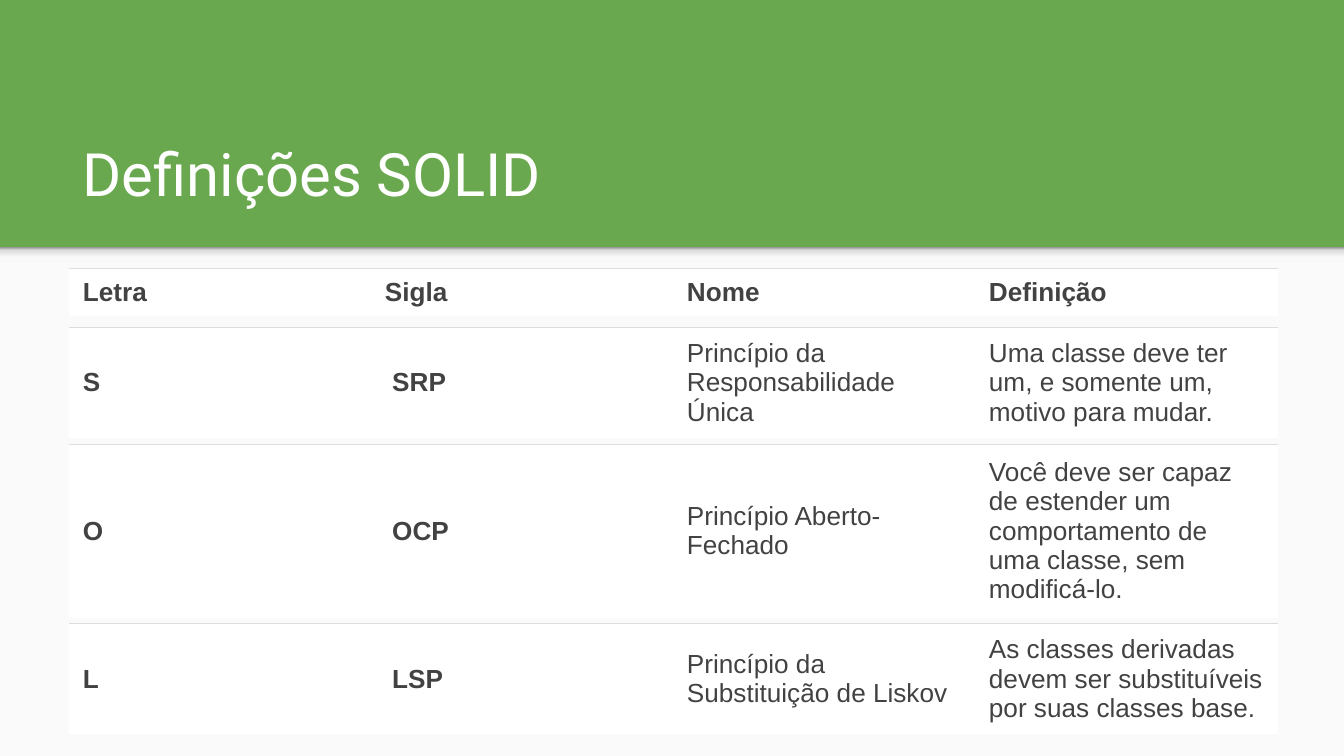
from copy import deepcopy
from dataclasses import dataclass

from lxml import etree
from pptx import Presentation
from pptx.dml.color import RGBColor
from pptx.enum.shapes import MSO_SHAPE
from pptx.enum.text import MSO_ANCHOR
from pptx.oxml.ns import qn
from pptx.util import Pt

RECT = MSO_SHAPE.RECTANGLE
MIDDLE = MSO_ANCHOR.MIDDLE
BOTTOM = MSO_ANCHOR.BOTTOM

HEX = {
    "green": "6AA84F", "paper": "FAFAFA", "white": "FFFFFF",
    "text": "424242", "rule": "DDDDDD",
}
SHADE = [(0, "F9F9F9"), (0.36, "F9F9F9"), (0.8, "DEDEDE"), (1, "999999")]
WIDE, HIGH = 720, 405
LEFT, SPAN = 37.2, 647.3
HEAD = 132.5
INDENT = 3.9


@dataclass
class Band:
    """One table of a single row."""
    top: float
    high: float
    words: tuple[str, str, str, str]
    bold: int = 2
    indent: float = INDENT


BANDS = [
    Band(175.5, 57, ("S", "SRP", "Princípio da Responsabilidade Única",
                     "Uma classe deve ter um, e somente um, motivo para mudar.")),
    Band(238.2, 81, ("O", "OCP", "Princípio Aberto-Fechado",
                     "Você deve ser capaz de estender um comportamento "
                     "de uma classe, sem modificá-lo.")),
    Band(143.8, 24.5, ("Letra", "Sigla", "Nome", "Definição"), 4, 0),
    Band(334.2, 56, ("L", "LSP", "Princípio da Substituição de Liskov",
                     "As classes derivadas devem ser substituíveis "
                     "por suas classes base.")),
]


def rgb(name: str) -> RGBColor:
    return RGBColor.from_string(HEX[name])


def style(item, **values) -> None:
    for name, value in values.items():
        setattr(item, name, value)


def write(frame, text: str, face: str, size: float, tone: str,
          bold: bool = False) -> None:
    run = frame.paragraphs[0].add_run()
    run.text = text
    style(run.font, name=face, size=Pt(size), bold=bold)
    run.font.color.rgb = rgb(tone)


def add_rect(slide, top: float, high: float):
    shape = slide.shapes.add_shape(RECT, 0, Pt(top), Pt(WIDE), Pt(high))
    shape.shadow.inherit = False
    shape.line.fill.background()
    return shape


def add_shade(slide) -> None:
    """Draw the soft shadow under the header, dark at its top edge."""
    shape = add_rect(slide, HEAD, 8.6)
    fill = shape.fill
    fill.gradient()
    fill.gradient_angle = 90
    stops = shape.element.spPr.find(".//" + qn("a:gsLst"))
    for _ in range(len(SHADE) - len(stops)):
        stops.append(deepcopy(stops[0]))
    for stop, (place, tone) in zip(fill.gradient_stops, SHADE):
        stop.position = place
        stop.color.rgb = RGBColor.from_string(tone)


def add_rule(cell) -> None:
    """Give the cell a top border only."""
    props = cell._tc.get_or_add_tcPr()
    for spot, side in enumerate(("lnL", "lnR", "lnT", "lnB")):
        line = etree.Element(qn("a:" + side), w=str(Pt(0.75)))
        if side == "lnT":
            fill = etree.SubElement(line, qn("a:solidFill"))
            etree.SubElement(fill, qn("a:srgbClr"), val=HEX["rule"])
        else:
            etree.SubElement(line, qn("a:noFill"))
        props.insert(spot, line)


def add_band(slide, band: Band) -> None:
    table = slide.shapes.add_table(
        1, len(band.words), Pt(LEFT), Pt(band.top), Pt(SPAN), Pt(band.high)
    ).table
    style(table, first_row=False, horz_banding=False)
    for col, text in enumerate(band.words):
        cell = table.cell(0, col)
        inset = 7.2 + (band.indent if col == 1 else 0)
        style(cell, vertical_anchor=MIDDLE,
              margin_left=Pt(inset), margin_right=Pt(7.2),
              margin_top=Pt(4.3), margin_bottom=Pt(4.3))
        cell.fill.solid()
        cell.fill.fore_color.rgb = rgb("white")
        add_rule(cell)
        write(cell.text_frame, text, "Arial", 14, "text", col < band.bold)


def add_title(slide, text: str) -> None:
    box = slide.shapes.add_textbox(Pt(LEFT), Pt(58.3), Pt(SPAN), Pt(60.5))
    frame = box.text_frame
    style(frame, word_wrap=True, vertical_anchor=BOTTOM,
          margin_left=Pt(7.2), margin_right=Pt(7.2),
          margin_top=Pt(7.2), margin_bottom=Pt(7.2))
    write(frame, text, "Roboto", 32, "white")


def main() -> None:
    deck = Presentation()
    style(deck, slide_width=Pt(WIDE), slide_height=Pt(HIGH))
    slide = deck.slides.add_slide(deck.slide_layouts[6])
    back = slide.background.fill
    back.solid()
    back.fore_color.rgb = rgb("green")
    paper = add_rect(slide, HEAD, HIGH - HEAD)
    paper.fill.solid()
    paper.fill.fore_color.rgb = rgb("paper")
    add_shade(slide)
    add_title(slide, "Definições SOLID")
    for band in BANDS:
        add_band(slide, band)
    deck.save("out.pptx")


if __name__ == "__main__":
    main()
